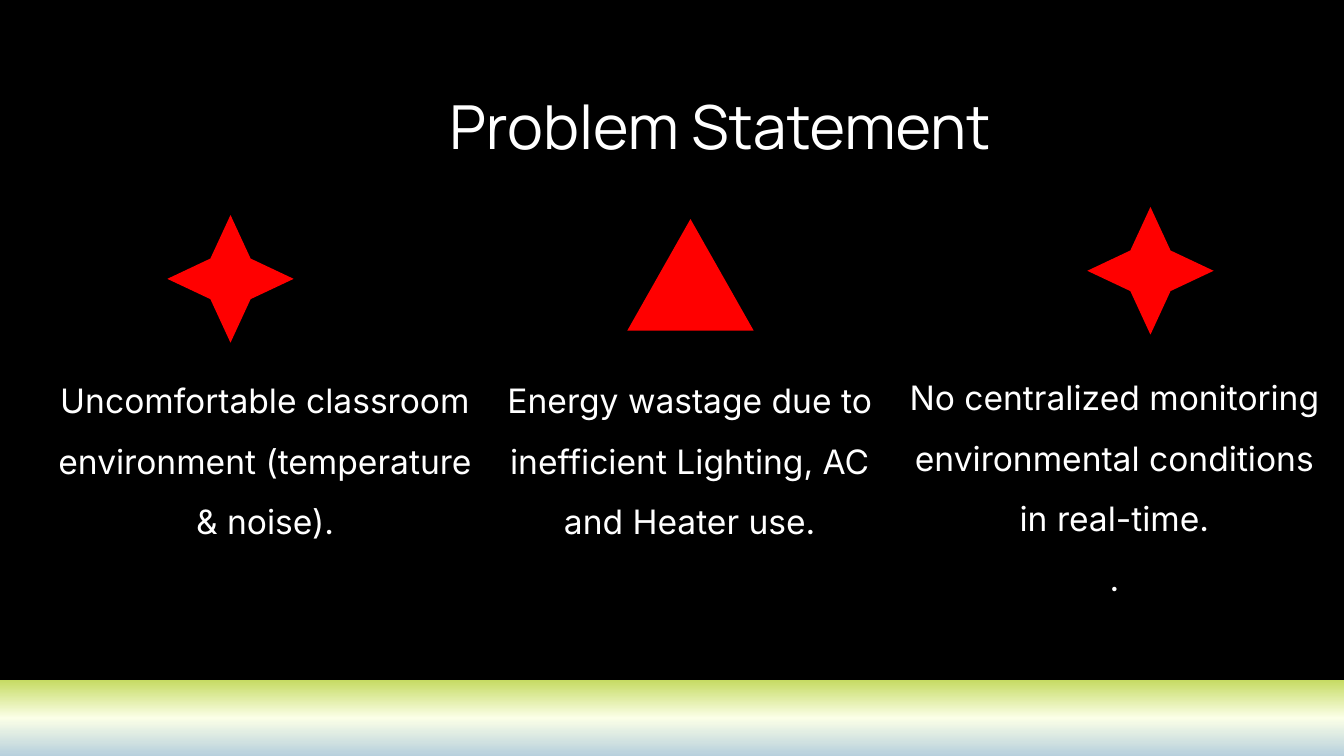
from dataclasses import dataclass

from lxml.etree import SubElement
from pptx import Presentation
from pptx.dml.color import RGBColor
from pptx.enum.shapes import MSO_SHAPE
from pptx.enum.text import PP_ALIGN
from pptx.oxml.ns import qn
from pptx.util import Inches, Pt


@dataclass(frozen=True)
class Theme:
    background: str = "000000"
    text: str = "FFFFFF"
    icon: str = "FF0000"
    band: tuple = ("C6DB63", "FBFFE7", "B7D0DD")
    title_font: str = "Manrope"
    body_font: str = "Inter"
    title_size: int = 65
    body_size: int = 36


theme = Theme()


def add_text(slide, box, paragraphs, font_name, size, line_spacing):
    text_frame = slide.shapes.add_textbox(*map(Inches, box)).text_frame
    text_frame.word_wrap = True
    text_frame.margin_left = text_frame.margin_right = 0
    text_frame.margin_top = text_frame.margin_bottom = 0
    text_frame.text = "\n".join(paragraphs)
    for paragraph in text_frame.paragraphs:
        paragraph.alignment = PP_ALIGN.CENTER
        paragraph.line_spacing = line_spacing
        for run in paragraph.runs:
            run.font.name = font_name
            run.font.size = Pt(size)
            run.font.color.rgb = RGBColor.from_string(theme.text)


def add_plain_shape(slide, preset, box):
    shape = slide.shapes.add_shape(preset, *map(Inches, box))
    shape.shadow.inherit = False
    shape.line.fill.background()
    return shape


presentation = Presentation()
presentation.slide_width = Inches(20)
presentation.slide_height = Inches(11.25)
slide = presentation.slides.add_slide(presentation.slide_layouts[6])
slide.background.fill.solid()
slide.background.fill.fore_color.rgb = RGBColor.from_string(theme.background)

# Title
add_text(slide, (6.22, 1.11, 8.99, 1.31), ["Problem Statement"],
         theme.title_font, theme.title_size, 1.2)

# Bottom band, fading from top to bottom
band = add_plain_shape(slide, MSO_SHAPE.RECTANGLE, (0, 10.12, 20, 1.13))
band.fill.gradient()
band.fill.gradient_angle = 270
stop_list = band.fill._fill._gradFill.find(qn("a:gsLst"))
for stop in list(stop_list):
    stop_list.remove(stop)
for index, color in enumerate(theme.band):
    stop = SubElement(stop_list, qn("a:gs"), pos=str(index * 50000))
    SubElement(stop, qn("a:srgbClr"), val=color)

# Three problems: icon, icon top and height, text top and height, paragraphs
star, triangle = MSO_SHAPE.STAR_4_POINT, MSO_SHAPE.ISOSCELES_TRIANGLE
problems = [
    (star, 3.2, 1.9, 5.36, 2.73,
     ["Uncomfortable classroom environment (temperature & noise)."]),
    (triangle, 3.26, 1.66, 5.36, 2.73,
     ["Energy wastage due to inefficient Lighting, AC and Heater use."]),
    (star, 3.08, 1.9, 5.31, 3.64,
     ["No centralized monitoring environmental conditions in real-time.", "."]),
]
icon_left, icon_pitch = 2.49, 6.845
text_left, text_pitch = 0.81, 6.32
for column, problem in enumerate(problems):
    preset, icon_top, icon_height, text_top, text_height, paragraphs = problem
    icon = add_plain_shape(slide, preset, (icon_left + column * icon_pitch,
                                           icon_top, 1.88, icon_height))
    icon.fill.solid()
    icon.fill.fore_color.rgb = RGBColor.from_string(theme.icon)
    if preset == star:
        icon.adjustments[0] = 0.225
    add_text(slide, (text_left + column * text_pitch, text_top, 6.27, text_height),
             paragraphs, theme.body_font, theme.body_size, 1.5)

presentation.save("out.pptx")
